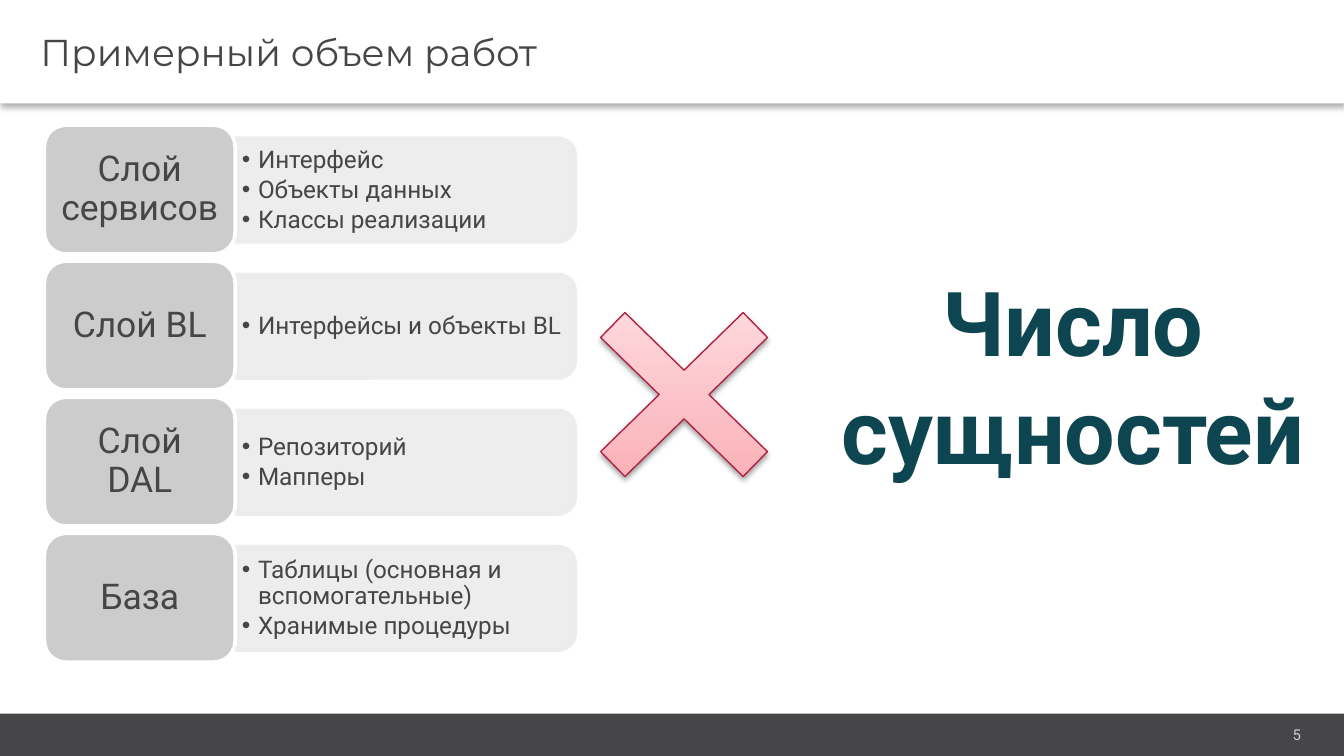
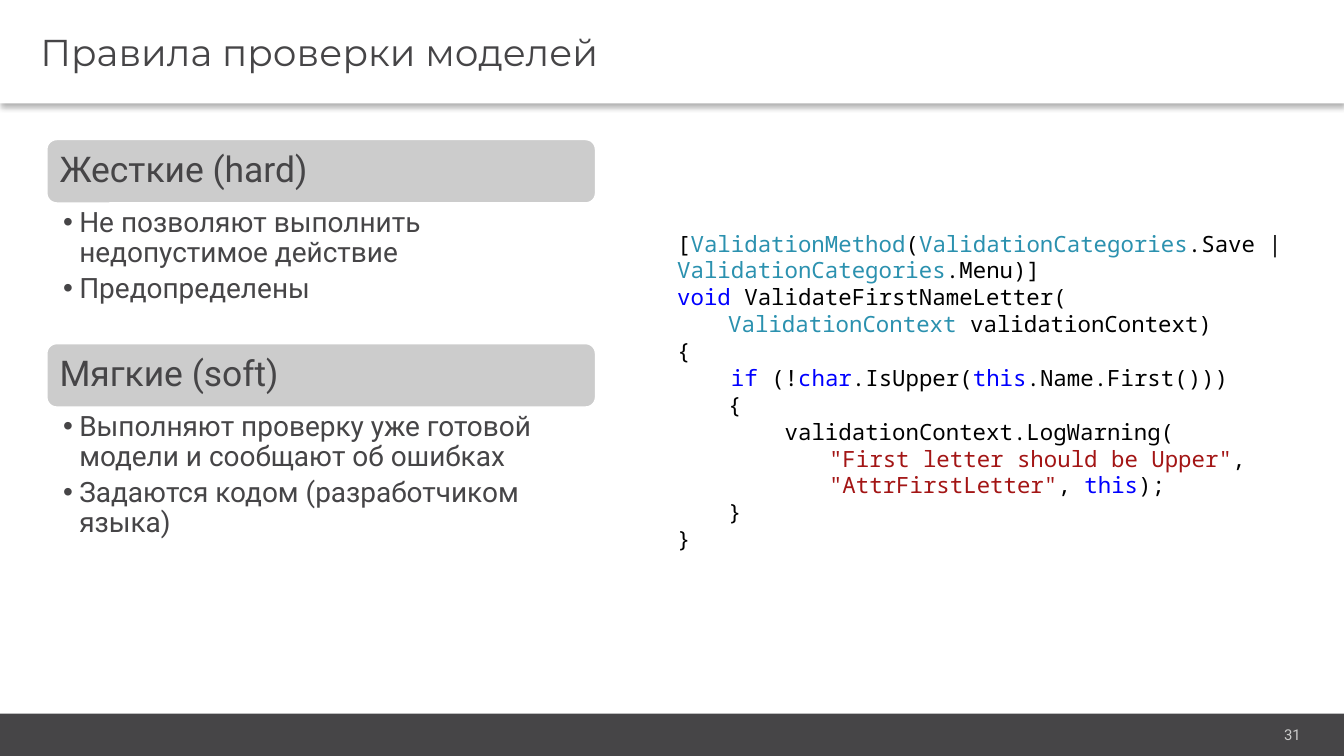
"""Build two slides on the volume of work and on model validation rules."""
from dataclasses import dataclass

from pptx import Presentation
from pptx import util as u
from pptx.dml.color import RGBColor
from pptx.enum import shapes, text
from pptx.oxml import parse_xml
from pptx.oxml.ns import nsdecls, qn


@dataclass(frozen=True)
class Theme:
    ink: str = "464547"
    paper: str = "FFFFFF"
    tile: str = "CCCCCC"
    panel: str = "ECECEC"
    accent: str = "0D4650"
    cross_line: str = "B12343"
    cross_stops: tuple = ((0, "FC9FA8"), (35, "FBBCC2"), (100, "FFE4E7"))
    plain: str = "000000"
    type_name: str = "2B91AF"
    keyword: str = "0000FF"
    string: str = "A31515"
    title_font: str = "Montserrat"
    body_font: str = "Roboto"
    code_font: str = "Noto Sans Mono"
    title_size: int = 20
    label_size: int = 19
    list_size: int = 13
    wide_list_size: int = 15
    code_size: int = 12
    number_size: int = 8
    slogan_size: int = 48


theme = Theme()
presentation = Presentation()
presentation.slide_width = u.Inches(10)
presentation.slide_height = presentation.slide_width * 9 // 16
column = presentation.slide_width / 100
row = presentation.slide_height / 100


def place(shape, left, top, width, height, fill=None, line=None, line_width=2):
    """Move a shape to grid columns and rows and paint it."""
    shape.left, shape.width = int(left * column), int(width * column)
    shape.top, shape.height = int(top * row), int(height * row)
    if fill:
        shape.shadow.inherit = False
        shape.fill.solid()
        shape.fill.fore_color.rgb = RGBColor.from_string(fill)
        if line:
            shape.line.color.rgb = RGBColor.from_string(line)
            shape.line.width = u.Pt(line_width)
        else:
            shape.line.fill.background()
    return shape


def write(shape, lines, size, margins=(0.1, 0.05, 0.1, 0.05), color=theme.ink,
          font=theme.body_font, align=text.PP_ALIGN.LEFT, anchor=text.MSO_ANCHOR.MIDDLE,
          spacing=1.0, bullet_gap=None, bold=False):
    """Fill a shape with paragraphs, bulleted when a bullet gap is given."""
    frame = shape.text_frame
    frame.word_wrap = True
    frame.auto_size = text.MSO_AUTO_SIZE.NONE
    frame.vertical_anchor = anchor
    frame.margin_left, frame.margin_top, frame.margin_right, frame.margin_bottom = map(u.Inches, margins)
    frame.text = "\n".join(lines)
    for paragraph in frame.paragraphs:
        paragraph.alignment = align
        paragraph.line_spacing = spacing
        paragraph.space_before = u.Pt(0)
        paragraph.font.name, paragraph.font.size, paragraph.font.bold = font, u.Pt(size), bold
        paragraph.font.color.rgb = RGBColor.from_string(color)
        if bullet_gap is not None:
            paragraph.space_after = u.Pt(size * bullet_gap)
            properties = paragraph._p.get_or_add_pPr()
            properties.set("marL", str(u.Inches(0.12)))
            properties.set("indent", str(u.Inches(-0.12)))
            bullet = parse_xml(f'<a:buChar {nsdecls("a")} char="•"/>')
            properties.insert_element_before(bullet, "a:tabLst", "a:defRPr", "a:extLst")


shadow_xml = (f'<a:outerShdw {nsdecls("a")} blurRad="39370" dist="{{distance}}" dir="5400000" rotWithShape="0">'
              '<a:srgbClr val="000000"><a:alpha val="{alpha}"/></a:srgbClr></a:outerShdw>')

slides = []
for layout, heading, number in ((4, "Примерный объем работ", "5"), (3, "Правила проверки моделей", "31")):
    slide = presentation.slides.add_slide(presentation.slide_layouts[layout])
    slides.append(slide)
    title = place(slide.shapes.title, 0, 0, 100, 13.7, theme.paper)
    write(title, [heading], theme.title_size, (0.3, 0.04, 0.07, 0.04), font=theme.title_font)
    title.element.spPr.find(qn("a:effectLst")).append(
        parse_xml(shadow_xml.format(distance=u.Pt(2), alpha=30000)))
    band = slide.shapes.add_shape(shapes.MSO_SHAPE.RECTANGLE, 0, 0, 0, 0)
    place(band, 0, 94.4, 100, 5.6, theme.ink)
    number_box = place(slide.shapes.add_textbox(0, 0, 0, 0), 81.2, 95.3, 16.3, 3.8)
    write(number_box, [number], theme.number_size, (0.07, 0.04, 0.07, 0.04), theme.tile,
          align=text.PP_ALIGN.RIGHT, anchor=text.MSO_ANCHOR.TOP)

work_slide, rules_slide = slides

layers = (
    ("Слой сервисов", ["Интерфейс", "Объекты данных", "Классы реализации"]),
    ("Слой BL", ["Интерфейсы и объекты BL"]),
    ("Слой DAL", ["Репозиторий", "Мапперы"]),
    ("База", ["Таблицы (основная и вспомогательные)", "Хранимые процедуры"]),
)
work_lists = list(work_slide.placeholders)[1:]
for index, ((layer, parts), part_list) in enumerate(zip(layers, work_lists)):
    offset = 18 * index
    panel = work_slide.shapes.add_shape(shapes.MSO_SHAPE.ROUND_2_SAME_RECTANGLE, 0, 0, 0, 0)
    place(panel, 26.3, 2.65 + offset, 7.7, 45, theme.panel, theme.panel)
    panel.rotation = 90
    for color in panel.element.spPr.iter(qn("a:srgbClr")):
        color.append(parse_xml(f'<a:alpha {nsdecls("a")} val="90000"/>'))
    place(part_list, 17.5, 19 + offset, 24.9, 12.45)
    write(part_list, parts, theme.list_size, (0.05, 0.03, 0.05, 0.03), spacing=0.9, bullet_gap=0.15)
    panel.element.addnext(part_list.element)
    tile = work_slide.shapes.add_shape(shapes.MSO_SHAPE.ROUNDED_RECTANGLE, 0, 0, 0, 0)
    place(tile, 3.3, 16.55 + offset, 14.2, 17.05, theme.tile, theme.paper)
    write(tile, [layer], theme.label_size, (0.08, 0.04, 0.08, 0.04),
          align=text.PP_ALIGN.CENTER, spacing=0.9)

slogan = place(work_slide.shapes.add_textbox(0, 0, 0, 0), 61.1, 34.5, 37.5, 30.6)
write(slogan, ["Число сущностей"], theme.slogan_size, color=theme.accent,
      align=text.PP_ALIGN.CENTER, anchor=text.MSO_ANCHOR.TOP, bold=True)
for properties in slogan.element.iter(qn("a:defRPr")):
    properties.insert(0, parse_xml(
        f'<a:ln {nsdecls("a")} w="{u.Pt(0.75)}"><a:solidFill><a:srgbClr val="{theme.paper}"/></a:solidFill></a:ln>'))

cross = work_slide.shapes.add_shape(shapes.MSO_SHAPE.MATH_MULTIPLY, 0, 0, 0, 0)
place(cross, 40.7, 34.5, 20.4, 35.4, theme.paper, theme.cross_line, 0.75)
cross.adjustments[0] = 0.13
stops = "".join(f'<a:gs pos="{position * 1000}"><a:srgbClr val="{color}"/></a:gs>'
                for position, color in theme.cross_stops)
cross_properties = cross.element.spPr
cross_properties.replace(cross_properties.find(qn("a:solidFill")), parse_xml(
    f'<a:gradFill {nsdecls("a")} rotWithShape="1"><a:gsLst>{stops}</a:gsLst><a:lin ang="16200000" scaled="0"/></a:gradFill>'))
cross_properties.find(qn("a:effectLst")).append(
    parse_xml(shadow_xml.format(distance=u.Pt(1.6), alpha=38000)))

rules = (
    ("Жесткие (hard)", ["Не позволяют выполнить недопустимое действие", "Предопределены"]),
    ("Мягкие (soft)", ["Выполняют проверку уже готовой модели и сообщают об ошибках",
                       "Задаются кодом (разработчиком языка)"]),
)
rule_lists = list(rules_slide.placeholders)[1:]
for index, ((rule, details), detail_list) in enumerate(zip(rules, rule_lists)):
    top = 18.3 + 27 * index
    label = rules_slide.shapes.add_shape(shapes.MSO_SHAPE.ROUNDED_RECTANGLE, 0, 0, 0, 0)
    place(label, 3.4, top, 41, 8.7, theme.tile, theme.paper)
    write(label, [rule], theme.label_size, (0.08, 0.08, 0.08, 0.08), spacing=0.9)
    place(detail_list, 3.4, top + 8.7, 41, 18.3)
    write(detail_list, details, theme.wide_list_size, (0.13, 0.03, 0.15, 0.03),
          anchor=text.MSO_ANCHOR.TOP, spacing=0.9, bullet_gap=0.2)

plain, type_name, keyword, string = theme.plain, theme.type_name, theme.keyword, theme.string
code_lines = (
    (0, [("[", plain), ("ValidationMethod", type_name), ("(", plain), ("ValidationCategories", type_name),
         (".Save | ", plain), ("ValidationCategories", type_name), (".Menu)]", plain)]),
    (0, [("void ", keyword), ("ValidateFirstNameLetter(", plain)]),
    (0.38, [("ValidationContext ", type_name), ("validationContext)", plain)]),
    (0, [("{", plain)]),
    (0.4, [("if", keyword), (" (!", plain), ("char", keyword), (".IsUpper(", plain),
           ("this", keyword), (".Name.First()))", plain)]),
    (0.38, [("{", plain)]),
    (0.8, [("validationContext.LogWarning(", plain)]),
    (1.13, [('"First letter should be Upper"', string), (",", plain)]),
    (1.13, [('"AttrFirstLetter"', string), (", ", plain), ("this", keyword), (");", plain)]),
    (0.38, [("}", plain)]),
    (0, [("}", plain)]),
)
code_box = place(rules_slide.shapes.add_textbox(0, 0, 0, 0), 49.4, 29.5, 48.5, 44.8)
write(code_box, [""] * len(code_lines), theme.code_size, color=plain, font=theme.code_font,
      anchor=text.MSO_ANCHOR.TOP, spacing=u.Pt(14.4))
for paragraph, (indent, tokens) in zip(code_box.text_frame.paragraphs, code_lines):
    paragraph._p.get_or_add_pPr().set("marL", str(u.Inches(indent)))
    for token, color in tokens:
        run = paragraph.add_run()
        run.text = token
        run.font.color.rgb = RGBColor.from_string(color)

presentation.save("out.pptx")
